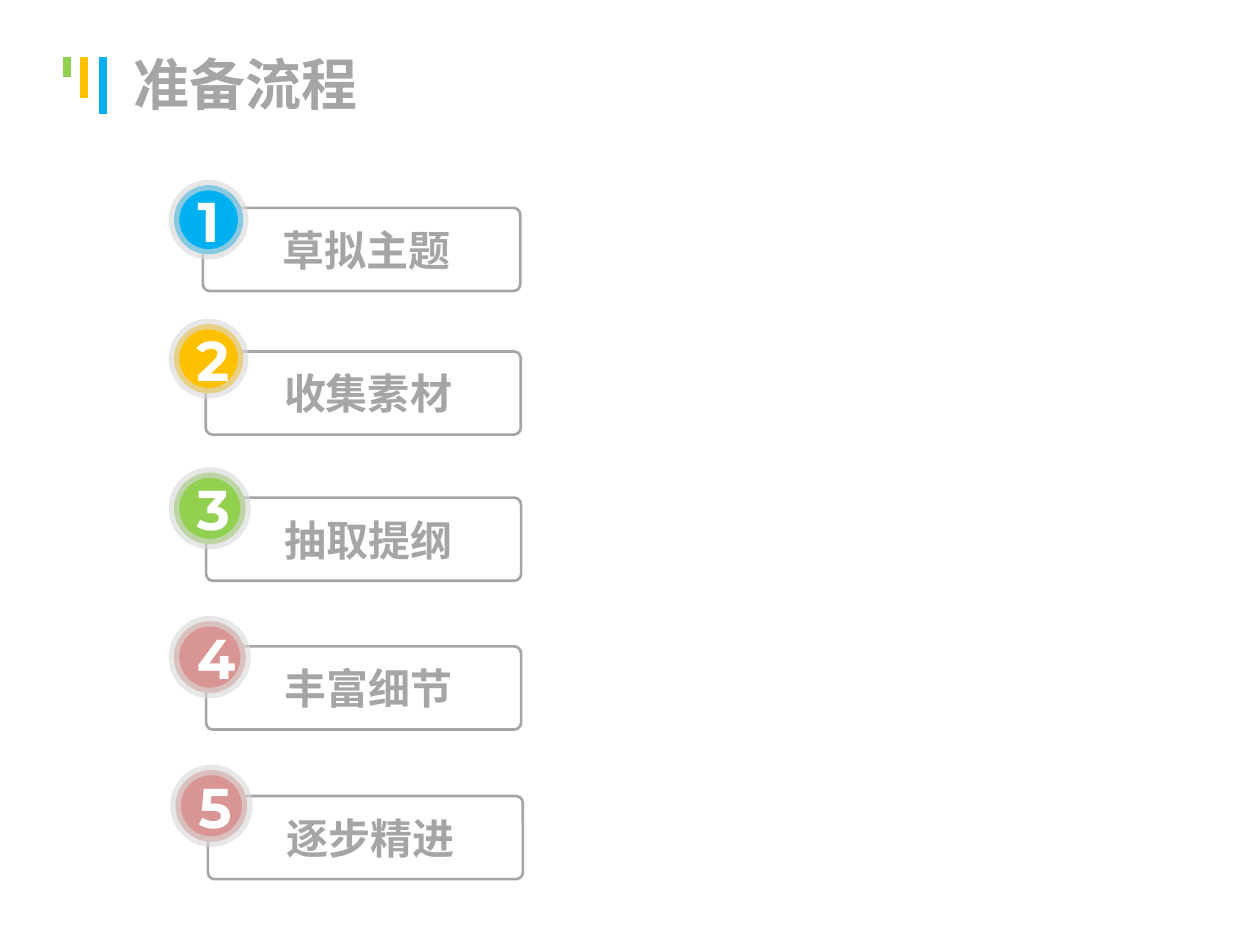
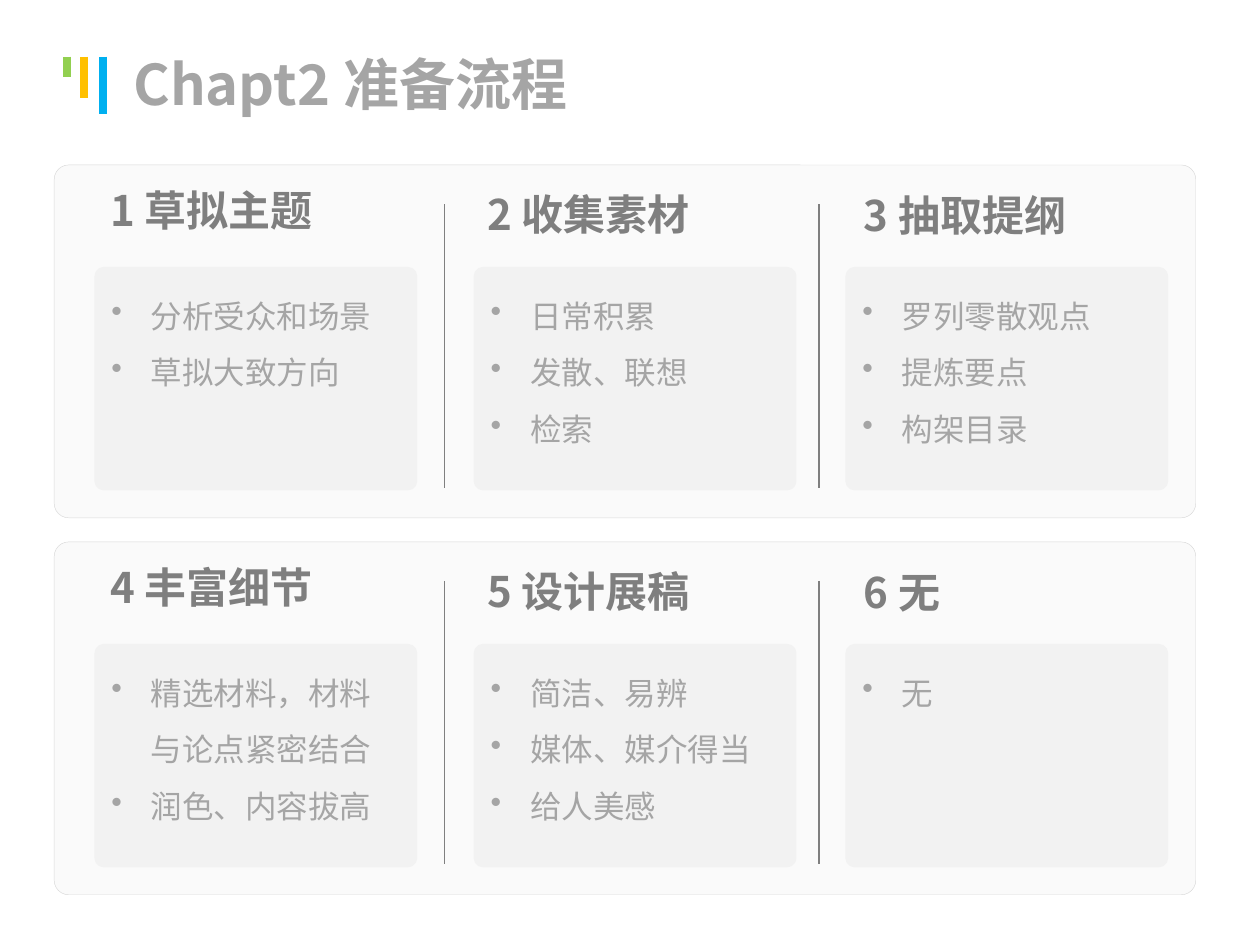
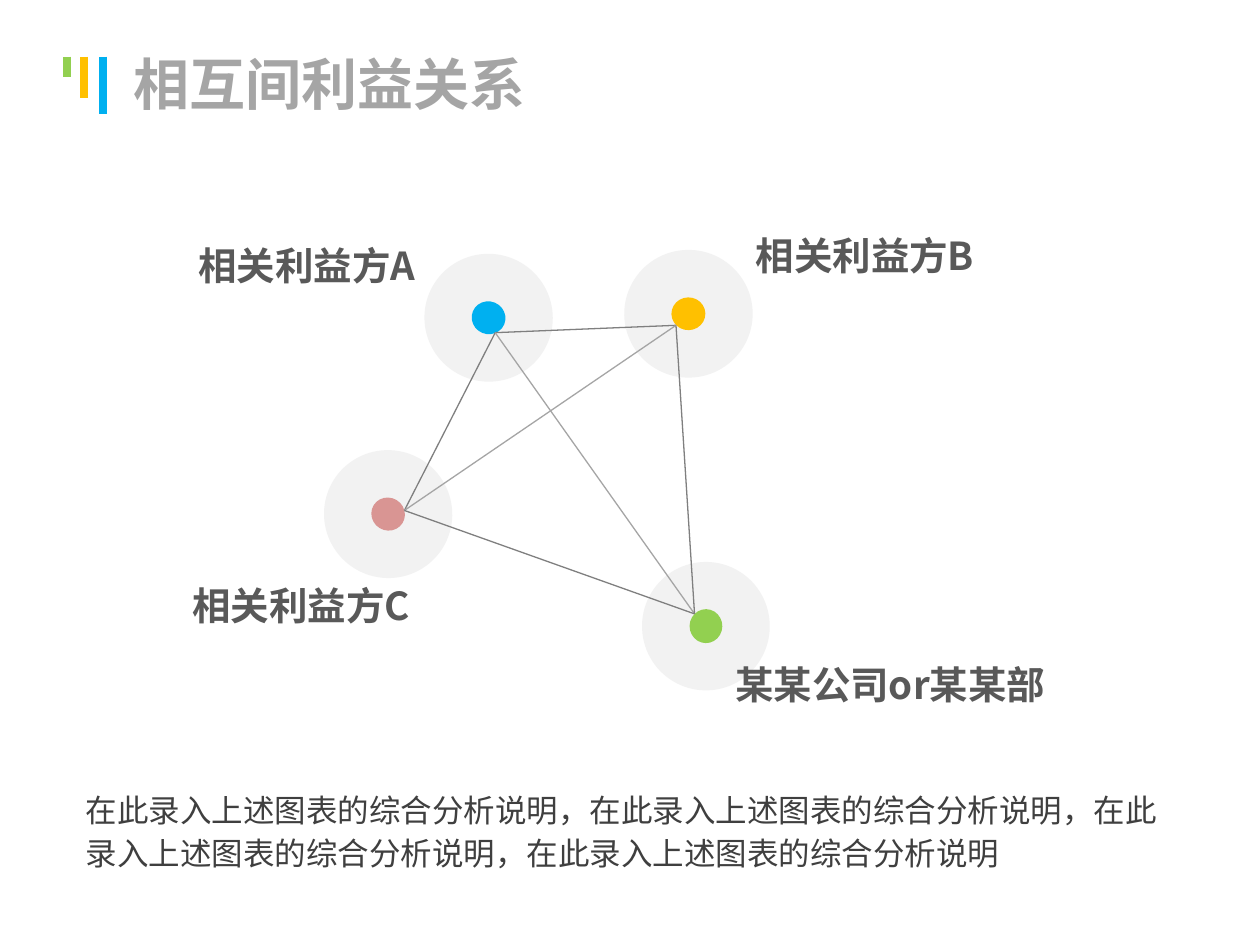
from itertools import combinations

from lxml import etree
from pptx import Presentation
from pptx.dml import color
from pptx.enum import shapes, text
from pptx.oxml import ns
from pptx.util import Pt

COLOURS = {
    "blue": "00B0F0", "yellow": "FFC000", "green": "92D050", "rose": "D99593",
    "white": "FFFFFF", "panel": "F2F2F2", "ring": "D9D9D9", "edge": "D8D8D8",
    "grey": "A5A5A5", "mid": "7F7F7F", "dark": "595959", "body": "3F3F3F",
}
FONT = "Noto Sans CJK SC"
NUMBER_FONT = "Montserrat"
OVAL = shapes.MSO_SHAPE.OVAL
ROUNDED = shapes.MSO_SHAPE.ROUNDED_RECTANGLE
LEFT, CENTER = text.PP_ALIGN.LEFT, text.PP_ALIGN.CENTER
TOP, MIDDLE = text.MSO_ANCHOR.TOP, text.MSO_ANCHOR.MIDDLE


def rgb(name):
    return color.RGBColor.from_string(COLOURS[name])


def add_child(parent, tag, **attributes):
    return etree.SubElement(parent, ns.qn(tag), attributes)


def set_opacity(fill_parent, percent):
    """Make the solid fill directly inside an element translucent."""
    solid = fill_parent.find(ns.qn("a:solidFill"))
    add_child(solid[0], "a:alpha", val=str(percent * 1000))


def add_line(slide, start, end, colour, width):
    line = slide.shapes.add_connector(
        shapes.MSO_CONNECTOR.STRAIGHT, *map(Pt, (*start, *end)))
    line.line.color.rgb = rgb(colour)
    line.line.width = Pt(width)
    add_child(line._element.spPr, "a:effectLst")


def add_shape(slide, kind, box, fill=None, line=None, width=1, corner=None):
    shape = slide.shapes.add_shape(kind, *map(Pt, box))
    shape.shadow.inherit = False
    if corner is not None:
        shape.adjustments[0] = corner
    if fill:
        shape.fill.solid()
        shape.fill.fore_color.rgb = rgb(fill)
    else:
        shape.fill.background()
    if line:
        shape.line.color.rgb = rgb(line)
        shape.line.width = Pt(width)
    else:
        shape.line.fill.background()
    return shape


def write(shape, lines, size, colour, bold=False, font=FONT, align=LEFT,
          anchor=TOP, wrap=True, spacing=None, bullets=False):
    frame = shape.text_frame
    frame.word_wrap = wrap
    frame.vertical_anchor = anchor
    for index, line in enumerate(lines):
        paragraph = frame.add_paragraph() if index else frame.paragraphs[0]
        paragraph.alignment = align
        if bullets:
            add_bullet(paragraph)
        if spacing:
            paragraph.line_spacing = spacing
        run = paragraph.add_run()
        run.text = line
        run.font.name = font
        run.font.size = Pt(size)
        run.font.bold = bold
        run.font.color.rgb = rgb(colour)
        add_child(run._r.get_or_add_rPr(), "a:ea", typeface=font)
    return frame


def set_indent(paragraph, hanging):
    properties = paragraph._p.get_or_add_pPr()
    properties.set("marL", str(Pt(hanging)))
    properties.set("indent", str(-Pt(hanging)))
    return properties


def add_bullet(paragraph):
    properties = set_indent(paragraph, 22.5)
    bullet_colour = add_child(properties, "a:buClr")
    add_child(bullet_colour, "a:srgbClr", val=COLOURS["grey"])
    add_child(properties, "a:buChar", char="•")


def add_textbox(slide, box):
    return slide.shapes.add_textbox(*map(Pt, box))


def add_titled_slide(presentation, title):
    """Add a blank slide with the three hanging bars and the title."""
    slide = presentation.slides.add_slide(presentation.slide_layouts[6])
    top = 32.4
    for x, length, colour in ((59, 33, "blue"), (47.8, 23.8, "yellow"),
                              (38.2, 11.8, "green")):
        add_line(slide, (x, top), (x, top + length), colour, 4.5)
    write(add_textbox(slide, (69.1, 2.2, 648, 90)), [title], 32, "grey",
          bold=True, anchor=MIDDLE)
    return slide


def add_step(slide, left, top, number, label, colour, badge, card_offset, card_width):
    """Draw a labelled card with a numbered badge whose corner is (left, top)."""
    x, y = card_offset
    card = add_shape(slide, ROUNDED, (left + x, top + y, card_width, 47.5),
                     line="grey", width=1.5, corner=0.082)
    write(card, [" " + label], 24, "grey", bold=True, align=CENTER,
          anchor=MIDDLE, wrap=False)
    circle = add_shape(slide, OVAL, (left, top, badge, badge), colour, "ring", 6)
    set_opacity(circle.line._ln, 61)
    write(circle, [str(number)], 32, "white", bold=True, font=NUMBER_FONT,
          align=CENTER, anchor=MIDDLE)


def add_panel(slide, left, top, columns):
    """Draw a panel of three headed lists separated by vertical rules."""
    panel = add_shape(slide, ROUNDED, (left, top, 652.3, 201.6), "panel",
                      "edge", 0.25, 0.041)
    set_opacity(panel._element.spPr, 32)
    column_width = 181.4
    heading_places = ((23, 5.8), (238.3, 7.9), (453.6, 8.6))
    card_lefts = (24.5, 241.2, 453.6)
    for (heading, items), (x, y), card_x in zip(columns, heading_places, card_lefts):
        box = add_shape(slide, ROUNDED, (left + x, top + y, column_width, 40.3),
                        corner=0.167)
        write(box, [heading], 24, "mid", bold=True)
        card = add_shape(slide, ROUNDED,
                         (left + card_x, top + 59.8, column_width, 124.6),
                         "panel", "panel", 3, 0.03)
        write(card, items, 18, "grey", spacing=1.5, bullets=True)
    for x in (223.2, 437):
        add_line(slide, (left + x, top + 22.3), (left + x, top + 184.3), "mid", 0.75)


def add_node(slide, center, colour, rotation):
    x, y = center
    for width, height, fill in ((73.4, 73, "panel"), (19.4, 18.7, colour)):
        circle = add_shape(slide, OVAL,
                           (x - width / 2, y - height / 2, width, height), fill)
        circle.rotation = rotation


def add_node_label(slide, left, top, width, label):
    frame = write(add_textbox(slide, (left, top, width, 23.8)), [label], 22,
                  "dark", bold=True, align=CENTER, spacing=0.9)
    frame.margin_left = frame.margin_right = 0
    frame.margin_top = frame.margin_bottom = 0
    set_indent(frame.paragraphs[0], 36)


def build_process(presentation):
    slide = add_titled_slide(presentation, "准备流程")
    steps = (
        ("草拟主题", "blue", 99.4, 105.8, 39.6, (16.5, 13), 181.4),
        ("收集素材", "yellow", 99.4, 185.2, 39.6, (18.2, 15.7), 180),
        ("抽取提纲", "green", 99.4, 270, 41, (18.4, 14.4), 180),
        ("丰富细节", "rose", 99.4, 355, 41, (18.4, 14.4), 180),
        ("逐步精进", "rose", 100.3, 440, 41, (18.5, 14.9), 180),
    )
    for number, (label, colour, left, top, *sizes) in enumerate(steps, 1):
        add_step(slide, left, top, number, label, colour, *sizes)


def build_chapter(presentation):
    slide = add_titled_slide(presentation, "Chapt2 准备流程")
    panels = (
        (("1 草拟主题", ["分析受众和场景", "草拟大致方向"]),
         ("2 收集素材", ["日常积累", "发散、联想", "检索"]),
         ("3 抽取提纲", ["罗列零散观点", "提炼要点", "构架目录"])),
        (("4 丰富细节", ["精选材料，材料与论点紧密结合", "润色、内容拔高"]),
         ("5 设计展稿", ["简洁、易辨", "媒体、媒介得当", "给人美感"]),
         ("6 无", ["无"])),
    )
    for row, columns in enumerate(panels):
        add_panel(slide, 31, 94.3 + row * 215.4, columns)


def build_relations(presentation):
    slide = add_titled_slide(presentation, "相互间利益关系")
    nodes = (
        ((279.2, 181.6), "blue", 22.5),
        ((393.4, 179.3), "yellow", 358.6),
        ((221.8, 293.8), "rose", 31.6),
        ((403.4, 357.8), "green", 270.9),
    )
    for node in nodes:
        add_node(slide, *node)
    joints = {"A": (283, 190.1), "B": (386.3, 185.9),
              "C": (231.1, 291.7), "D": (396.9, 350.8)}
    diagonals = {("A", "D"), ("B", "C")}
    for pair in combinations(joints, 2):
        start, end = (joints[name] for name in pair)
        add_line(slide, start, end, "grey" if pair in diagonals else "mid", 0.75)
    for label in ((105.1, 141.1, 140.4, "相关利益方A"),
                  (429.8, 135.4, 128.9, "相关利益方B"),
                  (99.4, 335.5, 145.4, "相关利益方C"),
                  (407.5, 380.9, 202.3, "某某公司or某某部")):
        add_node_label(slide, *label)
    summary = "，".join(["在此录入上述图表的综合分析说明"] * 4)
    write(add_textbox(slide, (41.8, 445.7, 629.3, 56.9)), [summary], 18,
          "body", spacing=1.14)


def main():
    presentation = Presentation()
    presentation.slide_width, presentation.slide_height = Pt(720), Pt(540)
    build_process(presentation)
    build_chapter(presentation)
    build_relations(presentation)
    presentation.save("out.pptx")


if __name__ == "__main__":
    main()
